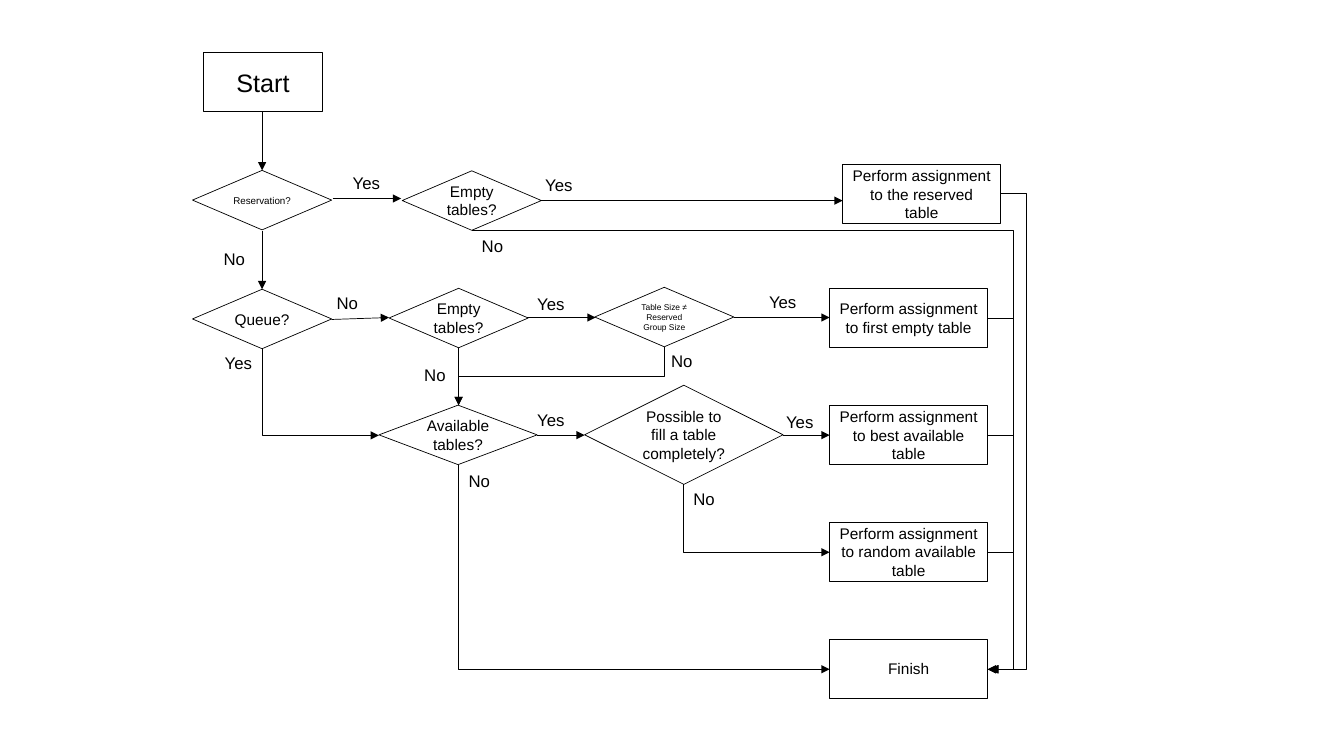
import pptx
import pptx.util
import pptx.dml.color
import pptx.enum.shapes
import pptx.enum.text
import pptx.oxml
import pptx.oxml.ns

Pt = pptx.util.Pt
SHAPES = pptx.enum.shapes.MSO_SHAPE
CONNECTORS = pptx.enum.shapes.MSO_CONNECTOR
COLORS = {"ink": "000000", "paper": "FFFFFF"}
FONT = "Arial"
ROW_STEP = 83.5
STEP_HEIGHT = 42.5
MIDDLE = 20.9
ACTION_WIDTH = 113
DECISION_WIDTH = 99.4
ENTRY_X = 49.7
CHECK_X = 190.1
ACTION_X = 455.1
ACTION_RIGHT = ACTION_X + ACTION_WIDTH
ACTION_FORMAT = {"word_wrap": True,
                 "vertical_anchor": pptx.enum.text.MSO_ANCHOR.MIDDLE}
DECISION_FORMAT = dict(ACTION_FORMAT, **{
    "margin_" + side: Pt(2.9) for side in ("left", "top", "right", "bottom")})
LABEL_FORMAT = {"word_wrap": False,
                "auto_size": pptx.enum.text.MSO_AUTO_SIZE.SHAPE_TO_FIT_TEXT}


def color(name):
    return pptx.dml.color.RGBColor.from_string(COLORS[name])


def apply_format(target, values):
    for name, value in values.items():
        setattr(target, name, value)


def write(frame, text, size, frame_format, alignment):
    apply_format(frame, frame_format)
    for index, line in enumerate(text.split("\n")):
        para = frame.add_paragraph() if index else frame.paragraphs[0]
        para.alignment = alignment
        span = para.add_run()
        span.text = line
        apply_format(span.font, {"name": FONT, "size": Pt(size)})
        span.font.color.rgb = color("ink")


def add_step(page, box, left, top, text, size=11, width=ACTION_WIDTH,
             height=STEP_HEIGHT, kind=SHAPES.RECTANGLE,
             frame_format=ACTION_FORMAT):
    step = page.shapes.add_shape(kind, Pt(box[0] + left), Pt(box[1] + top),
                                 Pt(width), Pt(height))
    step.shadow.inherit = False
    step.fill.solid()
    step.fill.fore_color.rgb = color("paper")
    step.line.color.rgb = color("ink")
    step.line.width = Pt(0.5)
    write(step.text_frame, text, size, frame_format,
          pptx.enum.text.PP_ALIGN.CENTER)


def add_decision(page, box, left, top, text, size=11, width=DECISION_WIDTH,
                 height=STEP_HEIGHT):
    add_step(page, box, left, top, text, size, width, height,
             SHAPES.DIAMOND, DECISION_FORMAT)


def add_labels(page, box, labels):
    for text, left, top in labels:
        label = page.shapes.add_textbox(
            Pt(box[0] + left), Pt(box[1] + top),
            Pt(34.6 if text == "Yes" else 30.2), Pt(21.8))
        write(label.text_frame, text, 12, LABEL_FORMAT,
              pptx.enum.text.PP_ALIGN.LEFT)


def add_arrow(page, box, start, end, kind=CONNECTORS.STRAIGHT, tip="tailEnd"):
    arrow = page.shapes.add_connector(
        kind, Pt(box[0] + start[0]), Pt(box[1] + start[1]),
        Pt(box[0] + end[0]), Pt(box[1] + end[1]))
    arrow.line.color.rgb = color("ink")
    arrow.line.width = Pt(0.5)
    pptx.oxml.ns.qn("a:ln")
    line = arrow.line._get_or_add_ln()
    line.append(pptx.oxml.parse_xml(
        '<a:%s %s type="triangle"/>' % (tip, pptx.oxml.ns.nsdecls("a"))))
    arrow._element.spPr.append(pptx.oxml.parse_xml(
        "<a:effectLst %s/>" % pptx.oxml.ns.nsdecls("a")))
    return arrow


def add_corner(page, box, start, end):
    corner = add_arrow(page, box, end, start, CONNECTORS.ELBOW, "headEnd")
    geometry = corner._element.spPr.find(pptx.oxml.ns.qn("a:prstGeom"))
    geometry.set("prst", "bentConnector2")


def add_drop(page, box, start, end):
    center_x, center_y = (start[0] + end[0]) / 2, (start[1] + end[1]) / 2
    half_width, half_height = (end[1] - start[1]) / 2, (start[0] - end[0]) / 2
    drop = add_arrow(page, box,
                     (center_x - half_width, center_y - half_height),
                     (center_x + half_width, center_y + half_height),
                     CONNECTORS.ELBOW)
    drop._element.spPr.find(pptx.oxml.ns.qn("a:xfrm")).set("rot", "5400000")


def add_exit(page, box, start, end, trunk):
    route = add_arrow(page, box, start, end, CONNECTORS.ELBOW)
    geometry = route._element.spPr.find(pptx.oxml.ns.qn("a:prstGeom"))
    for child in list(geometry):
        geometry.remove(child)
    bend = round((trunk - start[0]) / (end[0] - start[0]) * 100000)
    geometry.append(pptx.oxml.parse_xml(
        '<a:avLst %s><a:gd name="adj1" fmla="val %d"/></a:avLst>'
        % (pptx.oxml.ns.nsdecls("a"), bend)))


def draw_start(page, box):
    add_step(page, box, 7.9, 0, "Start", 18, 85)
    add_arrow(page, box, (ENTRY_X, STEP_HEIGHT), (ENTRY_X, 84.3))


def draw_reservation(page, box):
    add_decision(page, box, 0, -0.7, "Reservation?", 7)
    add_decision(page, box, 149.8, -0.4, "Empty tables?")
    add_step(page, box, 464.4, -5, "Perform assignment to the reserved table")
    for start, end in [((100.1, 19.4), (149.1, 19.4)),
                       ((249.2, MIDDLE), (464.4, MIDDLE)),
                       ((ENTRY_X, STEP_HEIGHT), (ENTRY_X, 84.2))]:
        add_arrow(page, box, start, end)
    add_labels(page, box, [("Yes", 107.3, -2.9), ("Yes", 244.8, -1.4),
                           ("No", 199.5, 42.5), ("No", 15.1, 51.8)])


def draw_queue(page, box):
    add_decision(page, box, 0, 0.7, "Queue?")
    add_decision(page, box, 140.4, 0, "Empty tables?")
    add_decision(page, box, 287.3, -0.7,
                 "Table Size ≠\nReserved Group Size", 6)
    add_step(page, box, ACTION_X, 0, "Perform assignment to first empty table")
    for start, end in [((99.4, 22.3), (140.4, MIDDLE)),
                       ((239.1, MIDDLE), (288, MIDDLE)),
                       ((386.7, MIDDLE), (ACTION_X, MIDDLE)),
                       ((CHECK_X, STEP_HEIGHT), (CHECK_X, ROW_STEP))]:
        add_arrow(page, box, start, end)
    add_corner(page, box, (ENTRY_X, 43.2), (133.2, 105.1))
    add_drop(page, box, (337, 41.8), (CHECK_X, ROW_STEP))
    add_labels(page, box, [("Yes", 15.9, 42.5), ("Yes", 239.1, 0),
                           ("No", 95.8, -0.7), ("No", 158.4, 51.1),
                           ("Yes", 404.7, -1.4), ("No", 334.8, 41.1)])


def draw_seating(page, box):
    add_decision(page, box, 133.2, 0, "Available tables?", width=ACTION_WIDTH)
    add_decision(page, box, 280.1, -14.2, "Possible to fill a table completely?",
                 width=141.8, height=70.8)
    for row, quality in enumerate(["best", "random"]):
        add_step(page, box, ACTION_X, row * ROW_STEP,
                 "Perform assignment to %s available table" % quality)
    for left, right in [(246.2, 280.1), (421.9, ACTION_X)]:
        add_arrow(page, box, (left, 21.4), (right, 21.4))
    add_corner(page, box, (CHECK_X, STEP_HEIGHT), (ACTION_X, 188.7))
    add_corner(page, box, (350.7, 56.6), (ACTION_X, 105.1))
    add_labels(page, box, [("Yes", 239.1, 0), ("Yes", 416.9, 0.8),
                           ("No", CHECK_X, 43.2), ("No", 350.7, 56.2)])


def draw_finish(page, box):
    add_step(page, box, ACTION_X, 0, "Finish")
    finish_y, trunk = 21.7, 586.1
    for rows_up in (3, 2, 1):
        add_exit(page, box, (ACTION_RIGHT, 21.3 - rows_up * ROW_STEP),
                 (ACTION_RIGHT + 1.5, finish_y), trunk)
    finish = (ACTION_RIGHT, finish_y)
    add_exit(page, box, (199.5, STEP_HEIGHT - 4 * ROW_STEP), finish, trunk)
    add_exit(page, box, (577.4, 15.8 - 4 * ROW_STEP), finish, 595.5)


deck = pptx.Presentation()
deck.slide_width, deck.slide_height = Pt(960), Pt(540)
page = deck.slides.add_slide(deck.slide_layouts[6])
CHART_LEFT, FIRST_ROW = 137.5, 122.4
draw_start(page, (CHART_LEFT, 37.4))
for row, draw in [(0, draw_reservation), (1, draw_queue),
                  (2, draw_seating), (4, draw_finish)]:
    draw(page, (CHART_LEFT, FIRST_ROW + row * ROW_STEP))
deck.save("out.pptx")
